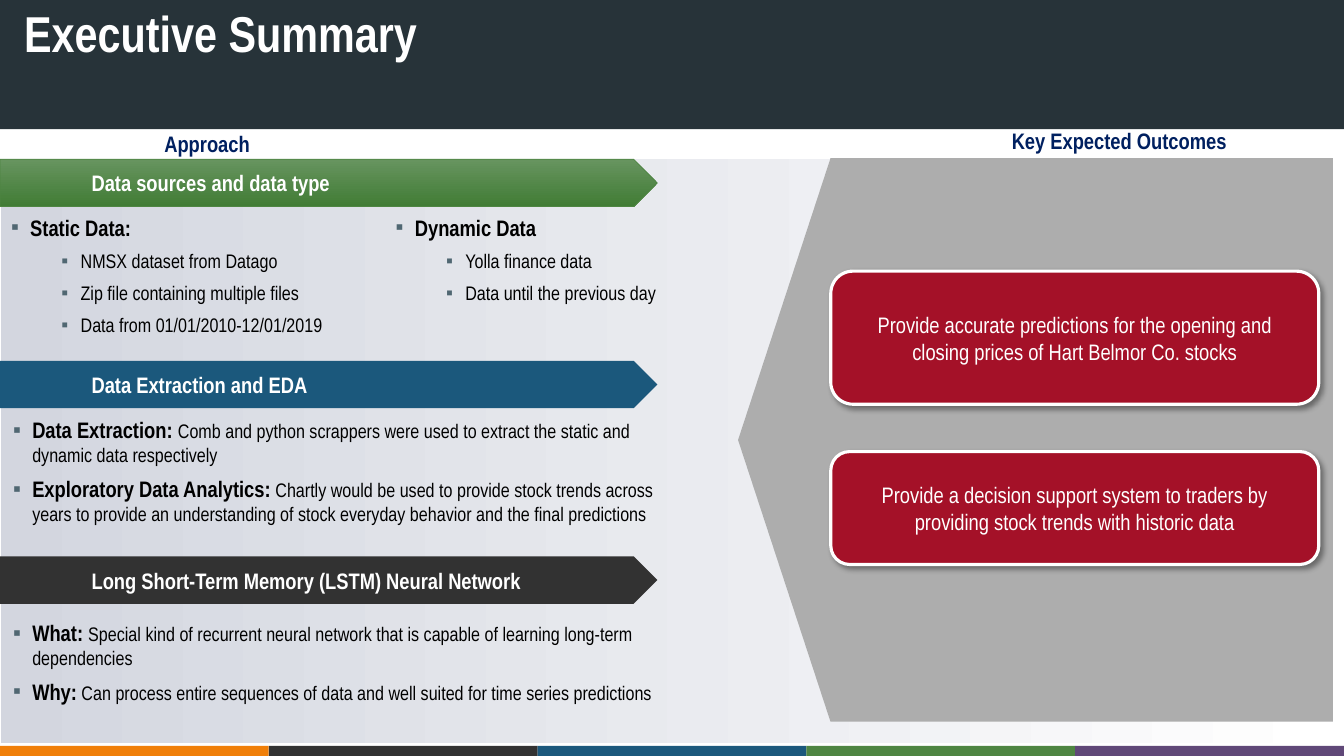
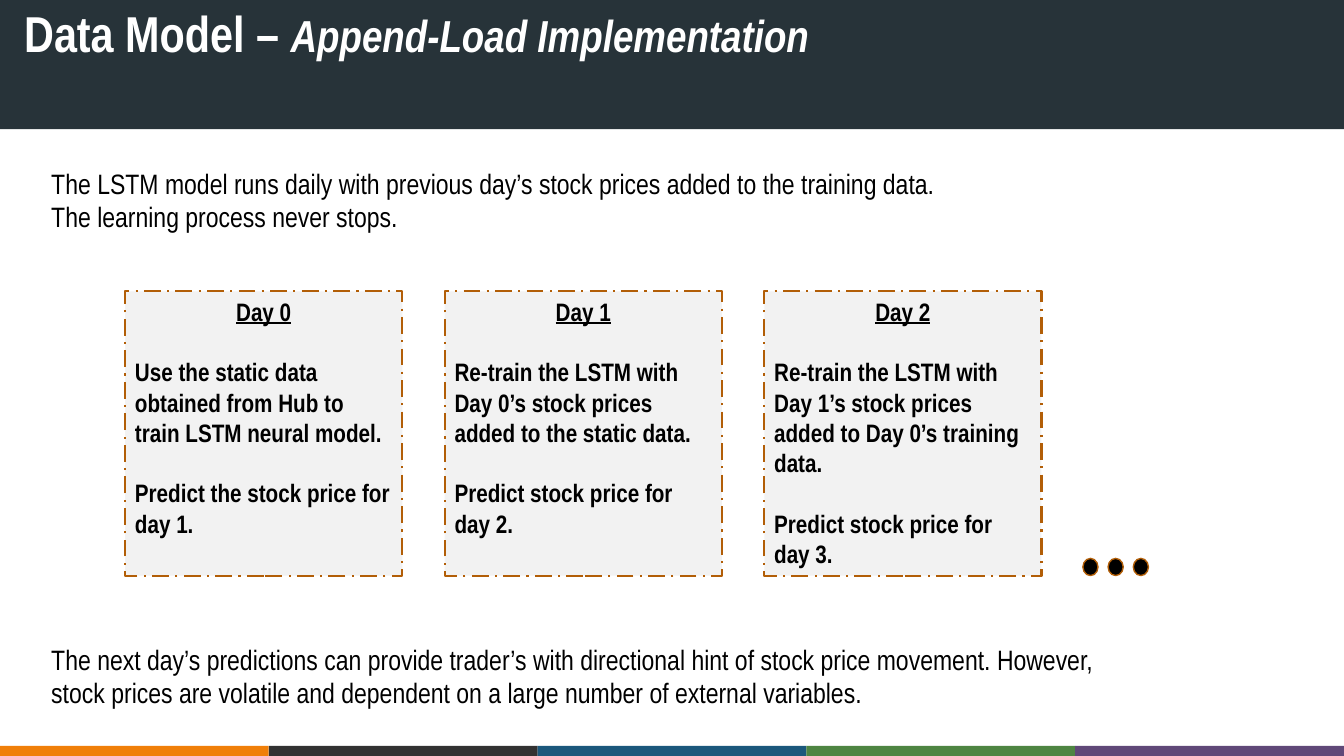
import pptx
import pptx.dml.color
import pptx.enum.dml
import pptx.enum.shapes
import pptx.enum.text
import pptx.oxml
import pptx.oxml.ns
import pptx.util
from pptx.util import Inches

SHAPE = pptx.enum.shapes.MSO_SHAPE
ALIGN = pptx.enum.text.PP_ALIGN
ANCHOR = pptx.enum.text.MSO_ANCHOR

# Shared look
FONT = "Arial Narrow"
WHITE, BLACK = "FFFFFF", "000000"
HEADER, NAVY, RED = "273339", "002060", "A41128"
GREEN, BLUE, CHARCOAL = "4E8542", "1B587C", "323232"
BROWN, BULLET = "B25E07", "506772"
FOOTER_COLORS = ["F07F09", CHARCOAL, BLUE, GREEN, "604878"]
SLIDE_WIDTH, SLIDE_HEIGHT = 13.33, 7.5
NAMESPACE = 'xmlns:a="http://schemas.openxmlformats.org/drawingml/2006/main"'


def rgb(color):
    return pptx.dml.color.RGBColor.from_string(color)


def parse_xml(xml):
    return pptx.oxml.parse_xml(xml.replace(" ", f" {NAMESPACE} ", 1))


# Shapes
def add_shape(slide, kind, box, fill, line=None, line_width=1.0):
    """Fill is one colour, or a (start, end, angle) gradient."""
    shape = slide.shapes.add_shape(kind, *map(Inches, box))
    shape.shadow.inherit = False
    if isinstance(fill, tuple):
        *colors, angle = fill
        shape.fill.gradient()
        shape.fill.gradient_angle = angle
        for stop, color in zip(shape.fill.gradient_stops, colors):
            stop.color.rgb = rgb(color)
    else:
        shape.fill.solid()
        shape.fill.fore_color.rgb = rgb(fill)
    if line:
        shape.line.color.rgb = rgb(line)
        shape.line.width = pptx.util.Pt(line_width)
    else:
        shape.line.fill.background()
    return shape


def add_drop_shadow(shape):
    effects = shape.element.spPr.find(pptx.oxml.ns.qn("a:effectLst"))
    effects.append(parse_xml(
        '<a:outerShdw blurRad="50800" dist="38100" dir="2700000">'
        '<a:srgbClr val="000000"><a:alpha val="40000"/></a:srgbClr>'
        '</a:outerShdw>'))


# Text
def prepare_frame(shape, anchor=ANCHOR.TOP):
    frame = shape.text_frame
    frame.word_wrap = True
    frame.auto_size = pptx.enum.text.MSO_AUTO_SIZE.NONE
    frame.vertical_anchor = anchor
    return frame


def add_text_box(slide, box):
    return prepare_frame(slide.shapes.add_textbox(*map(Inches, box)))


def place_placeholder(slide, index, box):
    """Move a placeholder and bring it in front of what is drawn so far."""
    shape = next(item for item in slide.placeholders
                 if item.placeholder_format.idx == index)
    shape.left, shape.top, shape.width, shape.height = map(Inches, box)
    shape.element.getparent().append(shape.element)
    return prepare_frame(shape)


def write(frame, text, size, color=BLACK, bold=False, align=ALIGN.LEFT,
          after=0, indent=None, bullet=False):
    paragraph = frame.paragraphs[0]
    if paragraph.runs:
        paragraph = frame.add_paragraph()
    paragraph.alignment = align
    paragraph.space_before = pptx.util.Pt(0)
    paragraph.space_after = pptx.util.Pt(after)
    if indent is not None:
        properties = paragraph._p.get_or_add_pPr()
        properties.set("marL", str(Inches(indent)))
        properties.set("indent", str(Inches(-0.19 if bullet else 0)))
        if bullet:
            properties.append(parse_xml(
                f'<a:buClr ><a:srgbClr val="{BULLET}"/></a:buClr>'))
            properties.append(parse_xml('<a:buFont typeface="Arial"/>'))
            properties.append(parse_xml('<a:buChar char="▪"/>'))
    font = paragraph.font
    font.name, font.size, font.bold = FONT, pptx.util.Pt(size), bold
    font.color.rgb = rgb(color)
    if text:
        paragraph.add_run().text = text
    return paragraph


def write_list(frame, items):
    """Items are (level, bold lead, detail)."""
    for level, lead, detail in items:
        paragraph = write(frame, "", 14, after=6, indent=0.19 + 0.5 * level,
                          bullet=True)
        if lead:
            run = paragraph.add_run()
            run.text = lead
            run.font.size, run.font.bold = pptx.util.Pt(16), True
        if detail:
            paragraph.add_run().text = detail


# Shared frame of every slide
def start_slide(presentation, layout_name, title, subtitle=""):
    layout = presentation.slide_layouts.get_by_name(layout_name)
    slide = presentation.slides.add_slide(layout)
    add_shape(slide, SHAPE.RECTANGLE, (0, -0.01, SLIDE_WIDTH, 1.29), HEADER)
    width = SLIDE_WIDTH / len(FOOTER_COLORS)
    for number, color in enumerate(FOOTER_COLORS):
        add_shape(slide, SHAPE.RECTANGLE,
                  (number * width, SLIDE_HEIGHT - 0.1, width, 0.1), color)
    frame = place_placeholder(slide, 0, (0.14, -0.03, 13.2, 0.71))
    paragraph = write(frame, title, 36, WHITE, bold=True)
    if subtitle:
        run = paragraph.add_run()
        run.text = subtitle
        run.font.size, run.font.italic = pptx.util.Pt(32), True
    return slide


# Elements of the summary
def add_section_banner(slide, top, text, fill, line=None):
    banner = add_shape(slide, SHAPE.PENTAGON, (0, top, 6.52, 0.47), fill,
                       line, 0.5)
    write(prepare_frame(banner, ANCHOR.MIDDLE), text, 16, WHITE, bold=True,
          indent=0.81)


def add_outcome(slide, top, height, text):
    box = add_shape(slide, SHAPE.ROUNDED_RECTANGLE, (8.24, top, 4.84, height),
                    RED, WHITE, 2.25)
    add_drop_shadow(box)
    write(prepare_frame(box, ANCHOR.MIDDLE), text, 16, WHITE,
          align=ALIGN.CENTER)


def build_summary(presentation):
    slide = start_slide(presentation, "Comparison", "Executive Summary")

    # Backdrop and column headings
    add_shape(slide, SHAPE.RECTANGLE, (0.01, 1.58, 13.22, 5.79),
              ("D3D6DF", WHITE, 0))
    write(place_placeholder(slide, 1, (1.53, 1.24, 4.75, 0.37)),
          "Approach", 16, NAVY, bold=True)
    write(add_text_box(slide, (9.44, 1.21, 3.32, 0.37)),
          "Key Expected Outcomes", 16, NAVY, bold=True, align=ALIGN.CENTER)

    # Approach
    add_section_banner(slide, 1.58, "Data sources and data type",
                       ("67945F", "417C35", 270), GREEN)
    add_section_banner(slide, 3.58, "Data Extraction and EDA", BLUE)
    add_section_banner(slide, 5.52,
                       "Long Short-Term Memory (LSTM) Neural Network",
                       CHARCOAL)

    sources = place_placeholder(slide, 2, (0.01, 2.07, 6.83, 1.49))
    columns = sources._txBody.bodyPr
    columns.set("numCol", "2")
    columns.set("spcCol", "0")
    write_list(sources, [
        (0, "Static Data:", ""),
        (1, "", "NMSX dataset from Datago"),
        (1, "", "Zip file containing multiple files"),
        (1, "", "Data from 01/01/2010-12/01/2019"),
        (1, "Dynamic Data", ""),
        (2, "", "Yolla finance data"),
        (2, "", "Data until the previous day"),
    ])
    write_list(place_placeholder(slide, 3, (0.03, 4.08, 6.68, 1.43)), [
        (0, "Data Extraction: ",
         "Comb and python scrappers were used to extract the static and "
         "dynamic data respectively"),
        (0, "Exploratory Data Analytics:",
         " Chartly would be used to provide stock trends across years to "
         "provide an understanding of stock everyday behavior and the final "
         "predictions"),
    ])
    write_list(place_placeholder(slide, 4, (0.03, 6.09, 6.63, 1.19)), [
        (0, "What: ",
         "Special kind of recurrent neural network that is capable of "
         "learning long-term dependencies"),
        (0, "Why:",
         " Can process entire sequences of data and well suited for time "
         "series predictions"),
    ])

    # Outcomes
    pointer = add_shape(slide, SHAPE.PENTAGON, (7.32, 1.57, 5.9, 5.59),
                        "ADADAD")
    pointer.rotation = 180
    pointer.adjustments[0] = 0.164
    add_outcome(slide, 2.69, 1.32,
                "Provide accurate predictions for the opening and closing "
                "prices of Hart Belmor Co. stocks")
    add_outcome(slide, 4.48, 1.12,
                "Provide a decision support system to traders by providing "
                "stock trends with historic data")


# Elements of the data model
def add_day_card(slide, day, training, prediction):
    card = add_shape(slide, SHAPE.RECTANGLE,
                     (1.24 + 3.17 * day, 2.89, 2.75, 2.82), "F2F2F2", BROWN,
                     1.5)
    card.line.dash_style = pptx.enum.dml.MSO_LINE.LONG_DASH_DOT
    frame = prepare_frame(card)
    heading = write(frame, f"Day {day}", 18, bold=True, align=ALIGN.CENTER,
                    after=21.6)
    heading.font.underline = True
    write(frame, training, 18, bold=True, after=21.6)
    write(frame, prediction, 18, bold=True)


def add_note(slide, box, lines):
    frame = add_text_box(slide, box)
    for line in lines:
        write(frame, line, 20)


def build_data_model(presentation):
    slide = start_slide(presentation, "Title Only", "Data Model – ",
                        "Append-Load Implementation")
    add_note(slide, (0.41, 1.6, 9.39, 0.77), [
        "The LSTM model runs daily with previous day’s stock prices added to "
        "the training data.",
        "The learning process never stops.",
    ])

    # Daily steps, then dots for the days to come
    steps = [
        ("Use the static data obtained from Hub to train LSTM neural model.",
         "Predict the stock price for day 1."),
        ("Re-train the LSTM with Day 0’s stock prices added to the static "
         "data.", "Predict stock price for day 2."),
        ("Re-train the LSTM with Day 1’s stock prices added to Day 0’s "
         "training data.", "Predict stock price for day 3."),
    ]
    for day, (training, prediction) in enumerate(steps):
        add_day_card(slide, day, training, prediction)
    for number in range(3):
        add_shape(slide, SHAPE.OVAL, (10.74 + 0.25 * number, 5.54, 0.15, 0.17),
                  BLACK, BROWN)

    add_note(slide, (0.41, 6.32, 11.08, 0.77), [
        "The next day’s predictions can provide trader’s with directional "
        "hint of stock price movement. However,",
        "stock prices are volatile and dependent on a large number of "
        "external variables.",
    ])


def main():
    presentation = pptx.Presentation()
    presentation.slide_width = Inches(SLIDE_WIDTH)
    presentation.slide_height = Inches(SLIDE_HEIGHT)
    build_summary(presentation)
    build_data_model(presentation)
    presentation.save("out.pptx")


if __name__ == "__main__":
    main()
